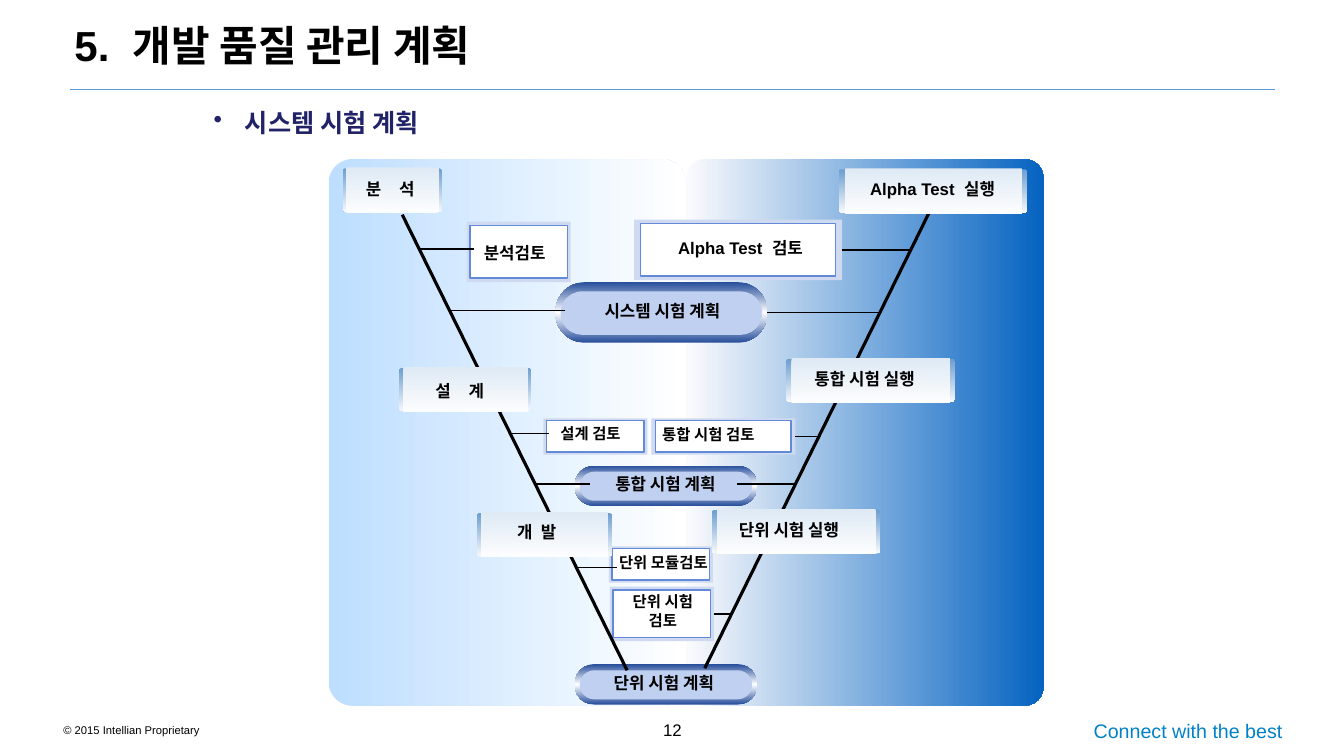
from dataclasses import dataclass

from lxml.etree import SubElement
from pptx import Presentation
from pptx.dml.color import RGBColor
from pptx.enum.shapes import MSO_CONNECTOR as CONN, MSO_SHAPE as SHAPE
from pptx.enum.text import MSO_ANCHOR as ANCHOR, PP_ALIGN as ALIGN
from pptx.oxml.ns import qn
from pptx.util import Inches, Pt


@dataclass(frozen=True)
class Theme:
    """Colours, font and type sizes of the slide."""
    font: str = "Arial"
    ink: str = "000000"
    heading: str = "222268"
    slogan: str = "0081C9"
    rule: str = "5B9BD5"
    left_panel: tuple = ("BDDEFF", "FFFFFF")
    right_panel: tuple = ("FBFBFD", "0563C1")
    card_back: tuple = ("6C9ED0", "F6F8FB")
    card_face: tuple = ("DFEAF5", "FCFDFE")
    pill_rim: tuple = ("274E9B", "FFFFFF", "274E9B")
    pill_face: str = "C0D0F0"
    review_frame: str = "CFDAF1"
    review_face: str = "FFFFFF"
    review_line: str = "638AD9"
    title_size: int = 30
    heading_size: int = 18
    slogan_size: int = 14
    label_size: int = 12
    small_size: int = 11
    copyright_size: int = 8


T = Theme()
RIGHT_SIDE = 3

CARDS = [
    (0.14, 0.08, 0.98, "분|석", 0.13, 0.06, 0.78, ALIGN.LEFT, 10),
    (0.70, 2.06, 1.31, "설|계", 0.26, 0.09, 0.78, ALIGN.LEFT, 10),
    (1.47, 3.50, 1.34, "개|발", 0.30, 0.05, 0.66, ALIGN.LEFT, 3.3),
    (5.06, 0.09, 1.87, "Alpha Test|실행", -0.07, 0.05, 2.00, ALIGN.CENTER, 3.3),
    (4.54, 1.97, 1.67, "통합 시험 실행", 0.18, 0.06, 1.33, ALIGN.LEFT, 0),
    (3.80, 3.47, 1.67, "단위 시험 실행", 0.17, 0.06, 1.33, ALIGN.LEFT, 0),
]
PILLS = [
    (2.25, 1.22, 2.10, 0.6, "시스템 시험 계획", 0.15, 0.13, 1.82),
    (2.44, 3.04, 1.81, 0.4, "통합 시험 계획", 0.19, 0.03, 1.42),
    (2.44, 5.01, 1.81, 0.4, "단위 시험 계획", 0.22, 0.03, 1.33),
]
REVIEWS = [
    (1.37, 0.62, 1.03, 0.60, "분석검토", 0.07, 0.16, 0.88, ALIGN.LEFT, T.label_size),
    (3.03, 0.60, 2.06, 0.60, "Alpha Test|검토", 0.02, 0.13, 2.07, ALIGN.CENTER, T.label_size),
    (2.13, 2.57, 1.03, 0.36, "설계 검토", 0.07, 0.01, 0.87, ALIGN.LEFT, T.small_size),
    (3.20, 2.57, 1.43, 0.36, "통합 시험 검토", 0.01, 0.02, 1.24, ALIGN.LEFT, T.small_size),
    (2.78, 3.84, 1.03, 0.36, "단위 모듈검토", -0.05, 0.02, 1.18, ALIGN.CENTER, T.small_size),
    (2.79, 4.24, 1.03, 0.54, "단위 시험\n검토", 0.09, 0.01, 0.87, ALIGN.CENTER, T.small_size),
]
LEFT_SPINE = (0.73, 0.55, 2.96, 5.07)
RIGHT_SPINE = (5.96, 0.52, 3.73, 5.05)
LOOSE_RUNGS = [
    (LEFT_SPINE, 0.89, 1.44),
    (LEFT_SPINE, 1.50, 2.34),
    (LEFT_SPINE, 2.72, 2.19),
    (LEFT_SPINE, 3.22, 2.59),
    (LEFT_SPINE, 4.05, 2.86),
    (RIGHT_SPINE, 3.22, 4.05),
]
JOINED_RUNGS = ["Alpha Test|검토", "시스템 시험 계획", "통합 시험 검토", "단위 시험\n검토"]


def rgb(value):
    """Return a colour from its hex digits."""
    return RGBColor.from_string(value)


def add_text(s, x, y, w, h, text, *, size, color=T.ink, bold=False, align=ALIGN.LEFT,
             anchor=ANCHOR.TOP, wrap=True, gap=0, spacing=None, bullet_indent=None):
    """Add a text box; each | in the text becomes a space widened by gap points."""
    tf = s.shapes.add_textbox(Inches(x), Inches(y), Inches(w), Inches(h)).text_frame
    tf.word_wrap = wrap
    tf.vertical_anchor = anchor
    for i, line in enumerate(text.split("\n")):
        p = tf.paragraphs[0] if i == 0 else tf.add_paragraph()
        p.alignment = align
        if spacing:
            p.line_spacing = spacing
        if bullet_indent:
            pPr = p._p.get_or_add_pPr()
            pPr.set("marL", str(Inches(bullet_indent)))
            pPr.set("indent", str(-Inches(bullet_indent)))
            SubElement(pPr, qn("a:buChar"), char="•")
        for j, part in enumerate(line.split("|")):
            for piece in ([" ", part] if j else [part]):
                r = p.add_run()
                r.text = piece
                r.font.name, r.font.size, r.font.bold = T.font, Pt(size), bold
                r.font.color.rgb = rgb(color)
                if piece == " ":
                    r._r.get_or_add_rPr().set("spc", str(round(gap * 100)))


def add_block(s, x, y, w, h, fill, *, radius=0, angle=270, line=None):
    """Add a rounded rectangle with a solid colour or evenly spaced gradient."""
    sp = s.shapes.add_shape(SHAPE.ROUNDED_RECTANGLE, Inches(x), Inches(y), Inches(w), Inches(h))
    sp.adjustments[0] = radius
    sp.shadow.inherit = False
    if isinstance(fill, str):
        sp.fill.solid()
        sp.fill.fore_color.rgb = rgb(fill)
    else:
        sp.fill.gradient()
        sp.fill.gradient_angle = angle
        stops = sp._element.spPr.find(".//" + qn("a:gsLst"))
        for stop in list(stops):
            stops.remove(stop)
        for i, color in enumerate(fill):
            stop = SubElement(stops, qn("a:gs"), pos=str(100000 * i // (len(fill) - 1)))
            SubElement(stop, qn("a:srgbClr"), val=color)
    if line:
        sp.line.color.rgb = rgb(line)
        sp.line.width = Pt(1)
    else:
        sp.line.fill.background()
    return sp


def add_line(s, x1, y1, x2, y2, *, color=T.ink, width=1):
    """Add a straight line without a shadow."""
    c = s.shapes.add_connector(CONN.STRAIGHT, Inches(x1), Inches(y1), Inches(x2), Inches(y2))
    c.line.color.rgb = rgb(color)
    c.line.width = Pt(width)
    SubElement(c._element.spPr, qn("a:effectLst"))
    return c


def add_card(s, x, y, w, text, dx, dy, label_w, align, gap):
    """Add a stage card with its label."""
    add_block(s, x, y + 0.01, w, 0.43, T.card_back, radius=0.061)
    add_block(s, x + 0.03 * w, y, 0.945 * w, 0.45, T.card_face, radius=0.043)
    add_text(s, x + dx, y + dy, label_w, 0.3, text, size=T.label_size, bold=True,
             align=align, wrap=False, gap=gap)


def add_pill(s, x, y, w, h, text, dx, dy, label_w):
    """Add a plan pill with its label and return the rim."""
    rim = add_block(s, x, y, w, h, T.pill_rim, radius=0.486)
    add_block(s, x + 0.05, y + 0.15 * h, w - 0.1, 0.72 * h, T.pill_face, radius=0.5)
    add_text(s, x + dx, y + dy, label_w, 0.3, text, size=T.label_size, bold=True,
             align=ALIGN.CENTER, wrap=False)
    return rim


def add_review(s, x, y, w, h, text, dx, dy, label_w, align, size):
    """Add a framed review box with its label and return the frame."""
    frame = add_block(s, x, y, w, h, T.review_frame)
    add_block(s, x + 0.03 * w, y + 0.06 * h, 0.94 * w, 0.87 * h, T.review_face,
              line=T.review_line)
    add_text(s, x + dx, y + dy, label_w, 0.3, text, size=size, bold=True, align=align,
             wrap=False, gap=3.3)
    return frame


def spine_x(spine, y):
    """Return where a spine crosses the height y."""
    x1, y1, x2, y2 = spine
    return x1 + (x2 - x1) * (y - y1) / (y2 - y1)


def add_v_model(s, x, y, w, h):
    """Draw the V-shaped test plan in the given box."""
    half = w / 2
    add_block(s, x + half, y, half, h, T.right_panel, radius=0.052, angle=0)
    add_block(s, x, y, half, h, T.left_panel, radius=0.066, angle=0)
    outlines = {}
    for add_part, parts in ((add_pill, PILLS), (add_review, REVIEWS)):
        for px, py, pw, ph, text, *label in parts:
            outline = add_part(s, x + px, y + py, pw, ph, text, *label)
            outlines[text] = outline, px + pw, py + ph / 2
    for x1, y1, x2, y2 in (RIGHT_SPINE, LEFT_SPINE):
        add_line(s, x + x1, y + y1, x + x2, y + y2, width=2.25)
    for spine, ry, end in LOOSE_RUNGS:
        add_line(s, x + spine_x(spine, ry), y + ry, x + end, y + ry)
    for name in JOINED_RUNGS:
        outline, side, ry = outlines[name]
        rung = add_line(s, x + side, y + ry, x + spine_x(RIGHT_SPINE, ry), y + ry)
        rung.begin_connect(outline, RIGHT_SIDE)
    for px, py, *card in CARDS:
        add_card(s, x + px, y + py, *card)


def add_header(s, x, y, w):
    """Add the title, the rule below it and the section heading."""
    add_text(s, x, y, w, 0.86, "5.|개발 품질 관리 계획", size=T.title_size, bold=True,
             gap=8.3, spacing=0.9)
    add_line(s, x + 0.05, y + 0.69, x + 12.01, y + 0.69, color=T.rule, width=0.5)
    add_text(s, x + 1.38, y + 0.82, 5.35, 0.4, "시스템 시험 계획", size=T.heading_size,
             color=T.heading, bold=True, bullet_indent=0.31)


def add_footer(s, x, y, w):
    """Add the copyright line, page number and slogan."""
    add_text(s, x, y + 0.09, 3.75, 0.24, "© 2015 Intellian Proprietary", size=T.copyright_size)
    add_text(s, x + 5.66, y, 0.96, 0.4, "12", size=T.label_size, align=ALIGN.CENTER,
             anchor=ANCHOR.MIDDLE)
    add_text(s, x + w - 3.11, y + 0.04, 3.11, 0.34, "Connect with the best",
             size=T.slogan_size, color=T.slogan, align=ALIGN.RIGHT)


def main():
    """Build and save the slide."""
    prs = Presentation()
    prs.slide_width, prs.slide_height = Inches(13.33), Inches(7.5)
    s = prs.slides.add_slide(prs.slide_layouts[6])
    add_header(s, 0.64, 0.2, 10.93)
    add_v_model(s, 3.26, 1.58, 7.09, 5.42)
    add_footer(s, 0.53, 7.04, 12.29)
    prs.save("out.pptx")


if __name__ == "__main__":
    main()
